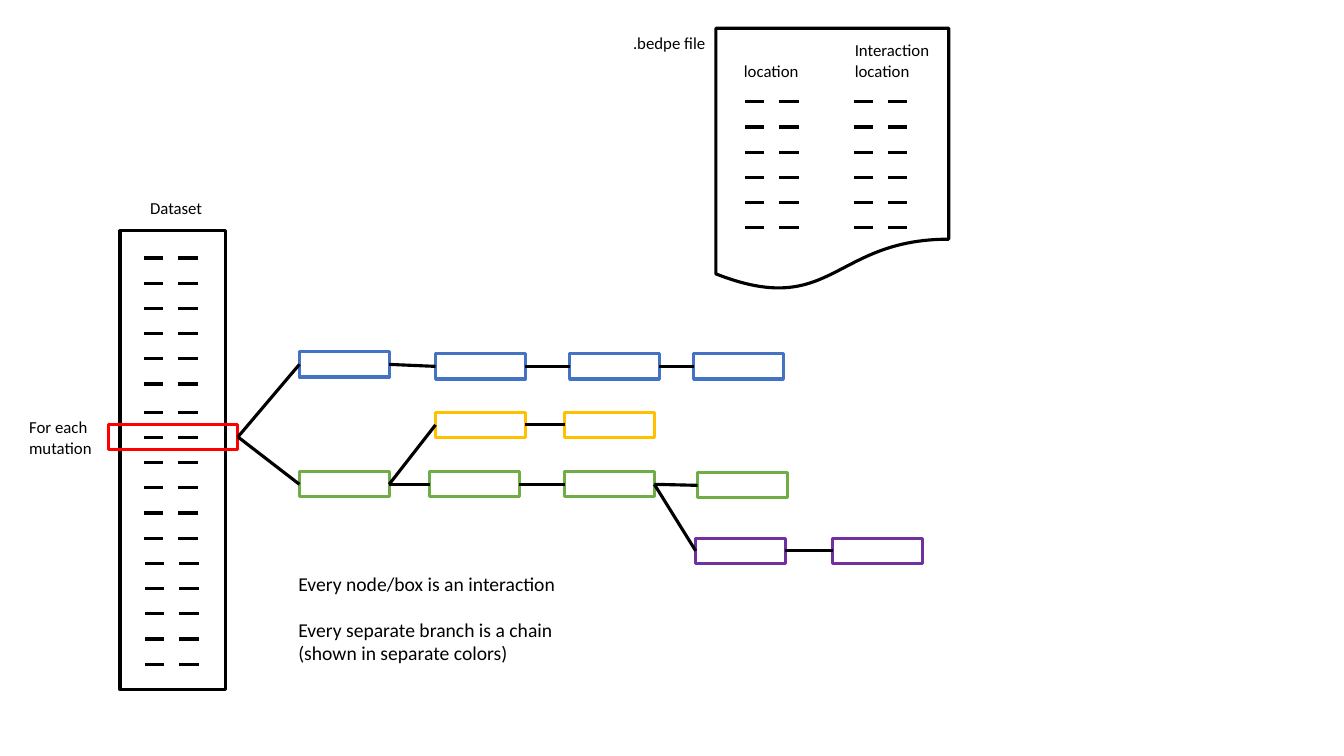
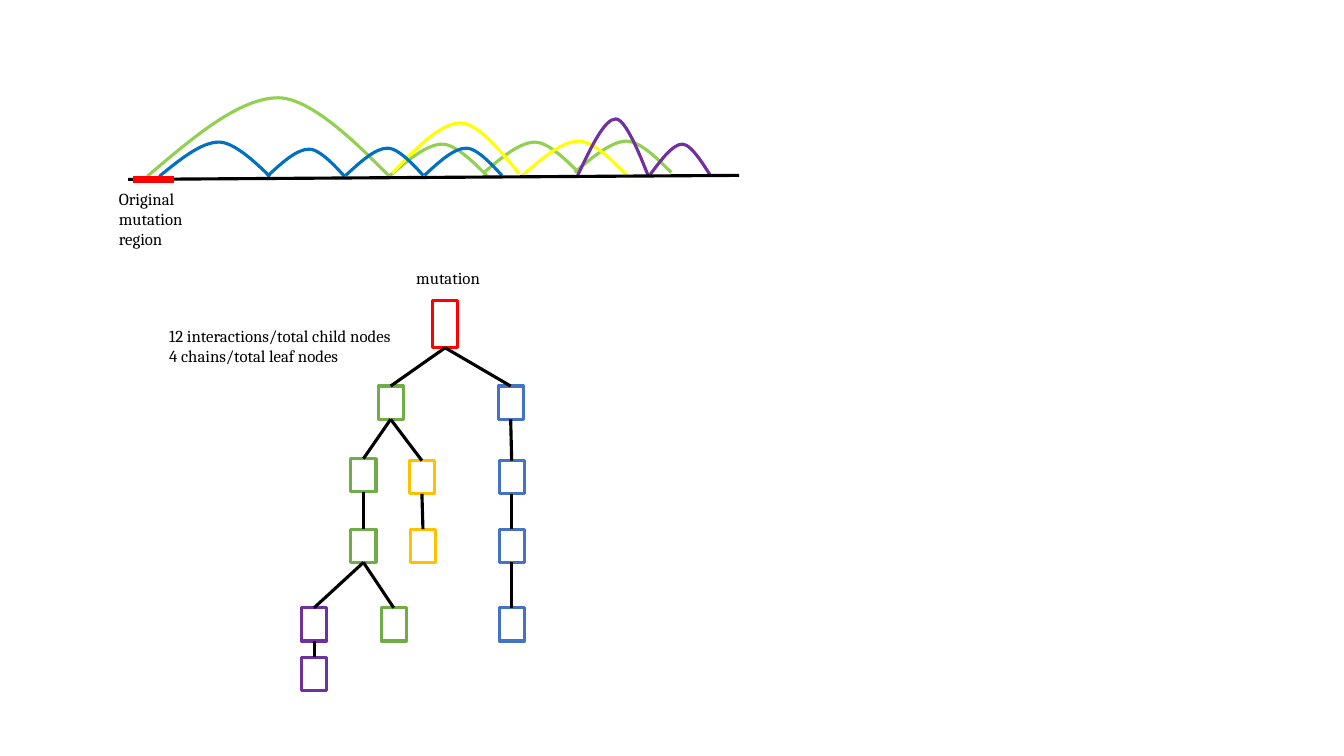
from lxml import etree
from pptx import Presentation, util as u
from pptx.dml.color import RGBColor
from pptx.enum import shapes, text
from pptx.oxml.ns import qn


class Theme:
    black, red, purple = "000000", "FF0000", "7030A0"
    green, gold, blue = "70AD47", "FFC000", "4472C4"
    lime, yellow, azure = "92D050", "FFFF00", "0070C0"
    line, thick = 2.25, 4.5
    label, note = 12, 14
    sans, serif = "Calibri", "Cambria"


def write_text(slide, wording, box, font=Theme.sans, size=Theme.label, color=Theme.black):
    frame = slide.shapes.add_textbox(*map(u.Inches, box)).text_frame
    frame.word_wrap = True
    frame.auto_size = text.MSO_AUTO_SIZE.SHAPE_TO_FIT_TEXT
    frame.text = wording
    for paragraph in frame.paragraphs:
        for run in paragraph.runs:
            run.font.name, run.font.size = font, u.Pt(size)
            run.font.color.rgb = RGBColor.from_string(color)


def draw_line(slide, start, end, color=Theme.black, weight=Theme.line):
    connector = slide.shapes.add_connector(
        shapes.MSO_CONNECTOR.STRAIGHT, *map(u.Inches, (*start, *end)))
    connector.line.color.rgb = RGBColor.from_string(color)
    connector.line.width = u.Pt(weight)
    etree.SubElement(connector._element.spPr, qn("a:effectLst"))
    return connector


presentation = Presentation()
presentation.slide_width, presentation.slide_height = u.Inches(13.33), u.Inches(7.5)
blank = presentation.slide_layouts[6]
chains_slide = presentation.slides.add_slide(blank)
tree_slide = presentation.slides.add_slide(blank)

# Outlined boxes: name, colour, left, top, then width and height if not the usual ones
RECTANGLE = shapes.MSO_SHAPE.RECTANGLE
chain_boxes = [
    ("file", Theme.black, 7.1, 0.28, 2.31, 2.61),
    ("dataset", Theme.black, 1.19, 2.29, 1.05, 4.55),
    ("mutation", Theme.red, 1.08, 4.21, 1.28, 0.25),
    ("green 1", Theme.green, 2.97, 4.68),
    ("green 2", Theme.green, 4.26, 4.68),
    ("green 3", Theme.green, 5.6, 4.68),
    ("green 4", Theme.green, 6.92, 4.69),
    ("gold 1", Theme.gold, 4.32, 4.09),
    ("gold 2", Theme.gold, 5.6, 4.09),
    ("blue 1", Theme.blue, 2.97, 3.49),
    ("blue 2", Theme.blue, 4.32, 3.51),
    ("blue 3", Theme.blue, 5.65, 3.51),
    ("blue 4", Theme.blue, 6.88, 3.51),
    ("purple 1", Theme.purple, 6.9, 5.34),
    ("purple 2", Theme.purple, 8.26, 5.34),
]
tree_boxes = [
    ("mutation", Theme.red, 4.29, 2.98, 0.25, 0.47),
    ("green 1", Theme.green, 3.75, 3.83),
    ("green 2", Theme.green, 3.48, 4.55),
    ("green 3", Theme.green, 3.48, 5.25),
    ("green 4", Theme.green, 3.78, 6.03),
    ("gold 1", Theme.gold, 4.06, 4.57),
    ("gold 2", Theme.gold, 4.07, 5.25),
    ("blue 1", Theme.blue, 4.94, 3.83),
    ("blue 2", Theme.blue, 4.95, 4.57),
    ("blue 3", Theme.blue, 4.95, 5.25),
    ("blue 4", Theme.blue, 4.95, 6.03),
    ("purple 1", Theme.purple, 2.99, 6.03),
    ("purple 2", Theme.purple, 2.99, 6.52),
]

# Both slides show the same branches, each running on from a parent box
branches = [
    ("mutation", "green 1", "green 2", "green 3", "green 4"),
    ("mutation", "blue 1", "blue 2", "blue 3", "blue 4"),
    ("green 1", "gold 1", "gold 2"),
    ("green 3", "purple 1", "purple 2"),
]
TOP, LEFT, BOTTOM, RIGHT = range(4)
for slide, boxes, usual_size, leave, enter in (
        (chains_slide, chain_boxes, (0.89, 0.25), RIGHT, LEFT),
        (tree_slide, tree_boxes, (0.25, 0.33), BOTTOM, TOP)):
    nodes = {}
    for name, color, left, top, *size in boxes:
        preset = shapes.MSO_SHAPE.FLOWCHART_DOCUMENT if name == "file" else RECTANGLE
        shape = slide.shapes.add_shape(
            preset, *map(u.Inches, (left, top, *(size or usual_size))))
        shape.shadow.inherit = False
        shape.fill.background()
        shape.line.color.rgb = RGBColor.from_string(color)
        shape.line.width = u.Pt(Theme.line)
        nodes[name] = shape
    for branch in branches:
        for parent, child in zip(branch, branch[1:]):
            connector = draw_line(slide, (0, 0), (1, 1))
            connector.begin_connect(nodes[parent], leave)
            connector.end_connect(nodes[child], enter)

# Rows of dashes: columns, first row, number of rows
dash, row_step = 0.19, 0.25
for columns, first_row, rows in (
        ((7.39, 7.73, 8.47, 8.81), 1.01, 6),
        ((1.43, 1.77), 2.56, 6),
        ((1.43, 1.77), 4.09, 6),
        ((1.44, 1.78), 5.59, 5)):
    for row in range(rows):
        y = first_row + row * row_step
        for x in columns:
            draw_line(chains_slide, (x, y), (x + dash, y))

# Labels of the chains
for wording, box, size in (
        ("location", (7.28, 0.55, 0.76, 0.3), Theme.label),
        ("Interaction location", (8.38, 0.35, 1.07, 0.5), Theme.label),
        (".bedpe file", (6.18, 0.28, 0.98, 0.3), Theme.label),
        ("Dataset", (1.39, 1.91, 0.76, 0.3), Theme.label),
        ("For each mutation", (0.19, 4.09, 0.92, 0.5), Theme.label),
        ("Every node/box is an interaction", (2.86, 5.62, 2.81, 0.34), Theme.note),
        ("Every separate branch is a chain (shown in separate colors)",
         (2.86, 6.08, 2.81, 0.57), Theme.note)):
    write_text(chains_slide, wording, box, size=size)

# Arches: one curve, stretched to left, top, width and height
arch = [(0, 1), (0.19, 0.5), (0.38, 0), (0.54, 0), (0.71, 0), (0.98, 0.98), (1, 1)]
for color, left, top, width, height in (
        (Theme.lime, 3.87, 1.43, 0.96, 0.31),
        (Theme.lime, 4.79, 1.41, 0.96, 0.31),
        (Theme.lime, 5.7, 1.4, 0.96, 0.31),
        (Theme.yellow, 3.89, 1.22, 1.26, 0.5),
        (Theme.yellow, 5.16, 1.4, 1.08, 0.36),
        (Theme.lime, 1.46, 0.97, 2.41, 0.78),
        (Theme.azure, 1.58, 1.41, 1.1, 0.34),
        (Theme.azure, 2.65, 1.48, 0.77, 0.27),
        (Theme.azure, 3.43, 1.47, 0.77, 0.27),
        (Theme.azure, 4.21, 1.47, 0.77, 0.27),
        (Theme.purple, 5.73, 1.18, 0.7, 0.56),
        (Theme.purple, 6.45, 1.43, 0.59, 0.3)):
    points = [(u.Inches(left + x * width), u.Inches(top + y * height)) for x, y in arch]
    builder = tree_slide.shapes.build_freeform(*points[0])
    builder.add_line_segments(points[1:], close=False)
    shape = builder.convert_to_shape()
    shape.shadow.inherit = False
    shape.fill.background()
    shape.line.color.rgb = RGBColor.from_string(color)
    shape.line.width = u.Pt(Theme.line)
    # Every three segments become one Bezier curve
    outline = shape._element.find(".//" + qn("a:path"))
    segments = outline.findall(qn("a:lnTo"))
    for first in range(0, len(segments), 3):
        curve = etree.SubElement(outline, qn("a:cubicBezTo"))
        for segment in segments[first:first + 3]:
            curve.append(segment[0])
            outline.remove(segment)

# Genome axis and mutated region
draw_line(tree_slide, (1.27, 1.78), (7.33, 1.74))
draw_line(tree_slide, (1.32, 1.78), (1.73, 1.78), Theme.red, Theme.thick)

# Labels of the tree
for wording, box in (
        ("12 interactions/total child nodes\n4 chains/total leaf nodes", (1.58, 3.18, 2.65, 0.5)),
        ("mutation", (4.03, 2.61, 0.9, 0.3)),
        ("Original mutation region", (1.08, 1.82, 1.29, 0.71))):
    write_text(tree_slide, wording, box, font=Theme.serif)

presentation.save("out.pptx")
